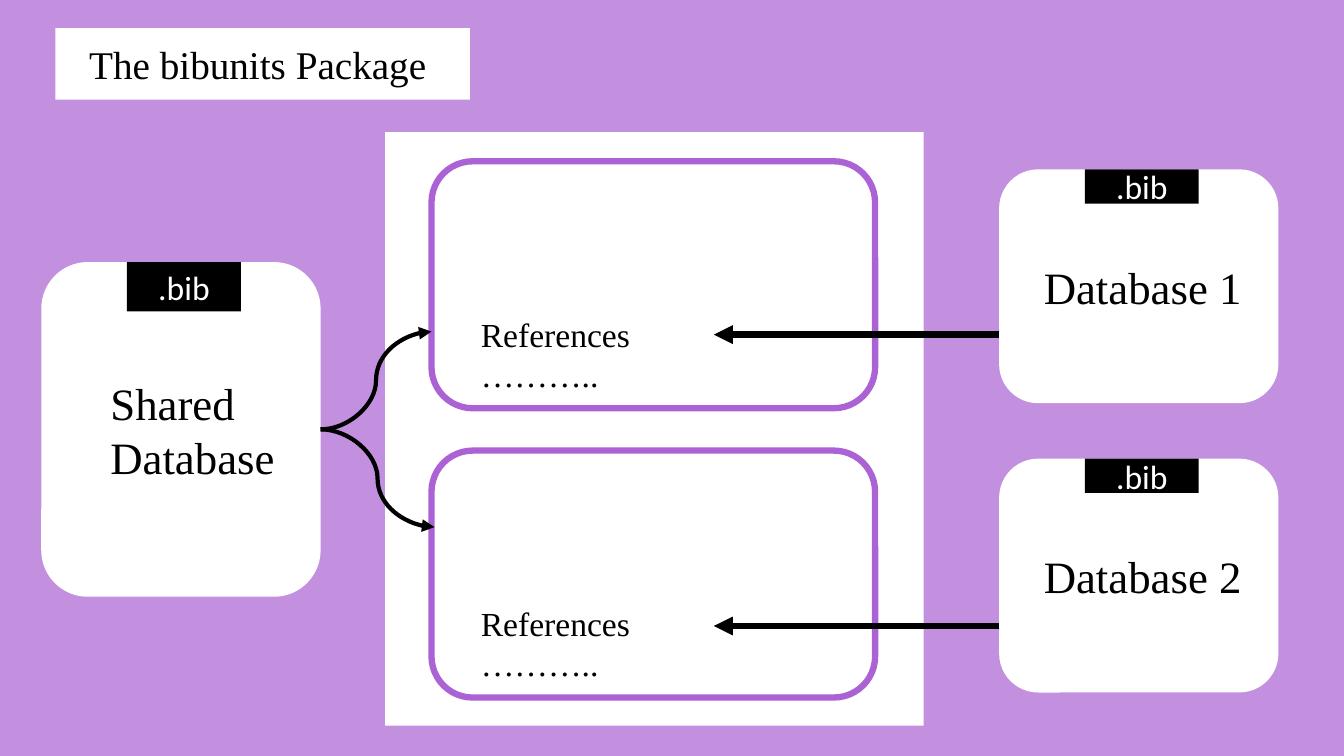
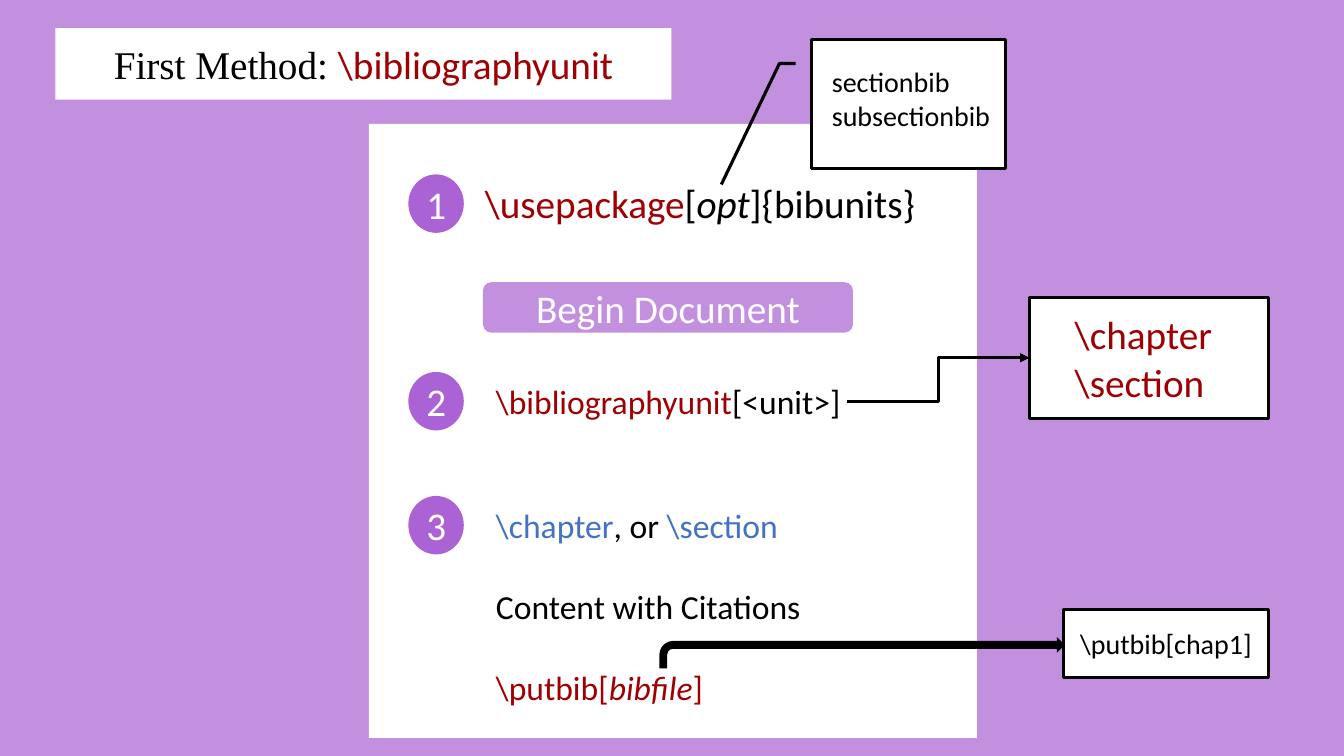
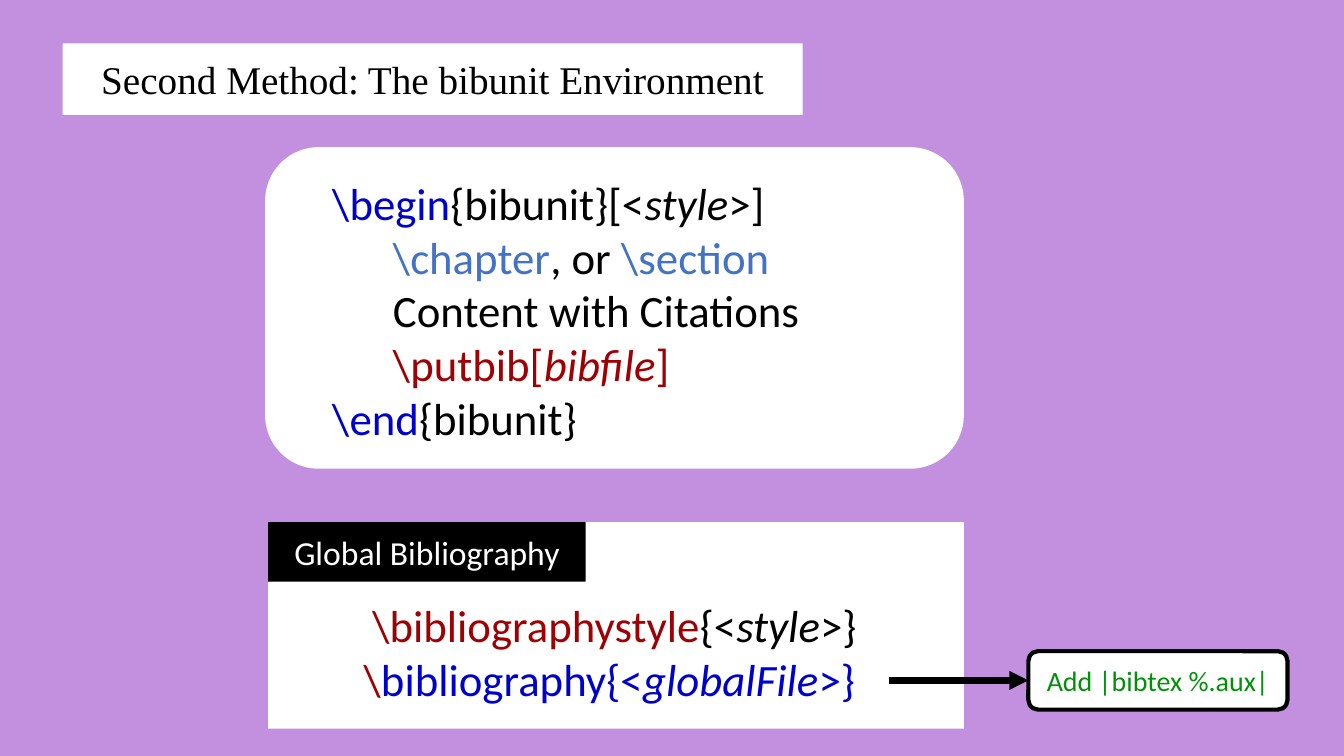
from lxml import etree
from pptx import Presentation
from pptx.dml.color import RGBColor
from pptx.enum import shapes as sh, text as tx
from pptx.oxml import ns
from pptx.util import Inches, Pt

LILAC, PURPLE = "C390E0", "AB62D4"
WHITE, BLACK = "FFFFFF", "000000"
RED, BLUE, NAVY, GREEN = "9F0003", "4472C4", "0000CC", "009109"
SERIF, SANS = "Times New Roman", "Calibri"

RECT = sh.MSO_SHAPE.RECTANGLE
ROUND = sh.MSO_SHAPE.ROUNDED_RECTANGLE
LEFT, CENTER = tx.PP_ALIGN.LEFT, tx.PP_ALIGN.CENTER
TOP, MIDDLE, BOTTOM = tx.MSO_ANCHOR.TOP, tx.MSO_ANCHOR.MIDDLE, tx.MSO_ANCHOR.BOTTOM


def rgb(color):
    return RGBColor.from_string(color)


def write(shape, paragraphs, size=28, font=SANS, color=BLACK, align=CENTER,
          anchor=MIDDLE, insets=(0.1, 0.05, 0.1, 0.05), gap=0):
    """Fill a shape; a paragraph is a list of strings or (text, color, italic) runs."""
    frame = shape.text_frame
    frame.word_wrap = True
    frame.auto_size = tx.MSO_AUTO_SIZE.NONE
    frame.vertical_anchor = anchor
    (frame.margin_left, frame.margin_top,
     frame.margin_right, frame.margin_bottom) = map(Inches, insets)
    for i, runs in enumerate(paragraphs):
        paragraph = frame.add_paragraph() if i else frame.paragraphs[0]
        paragraph.alignment = align
        if i and gap:
            paragraph.space_before = Pt(gap)
        for part in runs:
            words, tint, italic = part if isinstance(part, tuple) else (part, color, False)
            run = paragraph.add_run()
            run.text = words
            run.font.name, run.font.size, run.font.italic = font, Pt(size), italic
            run.font.color.rgb = rgb(tint)


class Deck:
    def __init__(self):
        self.prs = Presentation()
        self.prs.slide_width, self.prs.slide_height = Inches(13.33), Inches(7.5)
        backdrop = self.prs.slide_master.background.fill
        backdrop.solid()
        backdrop.fore_color.rgb = rgb(LILAC)
        self.slide = None

    def new_slide(self, title, left, top, width):
        """Add a slide whose title sits on a rounded white plate."""
        self.slide = self.prs.slides.add_slide(self.prs.slide_layouts[5])
        plate = self.slide.shapes.title
        plate.left, plate.top = Inches(left), Inches(top)
        plate.width, plate.height = Inches(width), Inches(0.71)
        outline = etree.SubElement(plate._element.spPr, ns.qn("a:prstGeom"), prst="roundRect")
        etree.SubElement(outline, ns.qn("a:avLst"))
        plate.fill.solid()
        plate.fill.fore_color.rgb = rgb(WHITE)
        write(plate, [title], font=SERIF)

    def box(self, at, paragraphs=(), kind=RECT, fill=WHITE, line=None, weight=2.25, **fmt):
        shape = self.slide.shapes.add_shape(kind, *map(Inches, at))
        shape.shadow.inherit = False
        shape.fill.solid()
        shape.fill.fore_color.rgb = rgb(fill)
        if line:
            shape.line.color.rgb = rgb(line)
            shape.line.width = Pt(weight)
        else:
            shape.line.fill.background()
        if paragraphs:
            write(shape, paragraphs, **fmt)
        return shape

    def database(self, at, name, tab_height, inset):
        """A white card with a black .bib tab on its top edge."""
        left, top = at[:2]
        card = self.box(at, [[name]], ROUND, size=32, font=SERIF, align=LEFT,
                        insets=(inset, 0.05, 0, 0.05))
        self.box((left + 0.85, top, 1.13, tab_height), [[".bib"]], fill=BLACK,
                 size=24, color=WHITE)
        return card

    def step(self, number, top, paragraphs, left=4.82, width=4.2, height=0.5, size=24, gap=0):
        """A numbered disc with its commands to the right."""
        self.box((4.05, top, 0.55, 0.58), [[str(number)]], sh.MSO_SHAPE.OVAL, PURPLE, color=WHITE)
        commands = self.slide.shapes.add_textbox(
            *map(Inches, (left, top + (28 - size) / 100, width, height)))
        write(commands, paragraphs, size=size, align=LEFT, anchor=TOP, gap=gap)

    def arrow(self, start, end, kind="STRAIGHT", weight=4.5, source=None, target=None):
        link = self.slide.shapes.add_connector(
            sh.MSO_CONNECTOR[kind], *map(Inches, (*start, *end)))
        link.line.color.rgb = rgb(BLACK)
        link.line.width = Pt(weight)
        etree.SubElement(link.line._get_or_add_ln(), ns.qn("a:tailEnd"), type="triangle")
        etree.SubElement(link._element.spPr, ns.qn("a:effectLst"))
        if source is not None:
            link.begin_connect(source, 3)
        if target is not None:
            link.end_connect(target, 1)


def package_slide(deck):
    deck.new_slide(["The bibunits Package "], 0.55, 0.28, 4.11)
    # Document with two units
    deck.box((3.82, 1.31, 5.34, 5.89))
    for top in (1.6, 4.47):
        deck.box((4.28, top, 4.4, 2.45), [["References"], ["……….."]], ROUND, line=PURPLE,
                 weight=4.5, size=24, font=SERIF, align=LEFT, anchor=BOTTOM,
                 insets=(0.37, 0.05, 0.1, 0.02))
    # Database used by both units
    shared = deck.database((0.41, 2.6, 2.77, 3.32), "Shared Database", 0.49, 0.55)
    for end in ((4.28, 3.29), (4.31, 5.23)):
        deck.arrow((3.18, 4.26), end, "CURVE", 3, source=shared)
    # One database per unit
    for number, top, arrow_y in ((1, 1.68, 3.32), (2, 4.55, 6.21)):
        deck.database((9.91, top, 2.77, 2.32), f"Database {number}", 0.34, 0.33)
        deck.arrow((9.91, arrow_y), (7.08, arrow_y))


def first_method_slide(deck):
    deck.new_slide(["First Method: "], 0.55, 0.28, 6.11)
    command = deck.slide.shapes.title.text_frame.paragraphs[0].add_run()
    command.text = "\\bibliographyunit"
    command.font.name, command.font.size = SANS, Pt(28)
    command.font.color.rgb = rgb(RED)
    # Steps in the document
    deck.box((3.66, 1.23, 6.03, 6.09))
    deck.step(1, 1.73, [[("\\usepackage", RED, False), "[", ("opt", BLACK, True), "]{bibunits}"]],
              left=4.71, width=5.37, size=28)
    deck.box((4.79, 2.8, 3.67, 0.5), [["Begin Document"]], ROUND, LILAC, color=WHITE)
    deck.step(2, 3.69, [[("\\bibliographyunit", RED, False), "[<unit>]"]])
    deck.step(3, 4.92, [
        [("\\chapter", BLUE, False), ", or ", ("\\section", BLUE, False)],
        ["Content with Citations"],
        [("\\putbib[", RED, False), ("bibfile", RED, True), ("]", RED, False)],
    ], height=2.12, gap=29)
    # Side notes
    deck.box((8.05, 0.39, 1.92, 1.28), [["sectionbib"], ["subsectionbib"]],
             sh.MSO_SHAPE.LINE_CALLOUT_2, line=BLACK, size=20, align=LEFT, anchor=TOP,
             insets=(0.2, 0.25, 0, 0.05))
    units = deck.box((10.21, 2.95, 2.37, 1.2), [["\\chapter"], ["\\section"]], line=BLACK,
                     color=RED, align=LEFT, insets=(0.45, 0.05, 0.1, 0.05))
    deck.arrow((8.4, 3.98), (10.21, 3.55), "ELBOW", 2.25, target=units)
    deck.box((6.54, 6.32, 4.02, 0.31), kind=sh.MSO_SHAPE.BENT_ARROW, fill=BLACK)
    deck.box((10.55, 6.05, 2.03, 0.67), [["\\putbib[chap1]"]], line=BLACK, size=20)


def second_method_slide(deck):
    deck.new_slide(["Second Method: The bibunit Environment"], 0.62, 0.43, 7.34)
    # Environment code
    indent = " " * 6
    deck.box((2.63, 1.46, 6.93, 3.19), [
        [("\\begin", NAVY, False), "{bibunit}[<", ("style", BLACK, True), ">]"],
        [(indent + "\\chapter", BLUE, False), ", or ", ("\\section", BLUE, False)],
        [indent + "Content with Citations"],
        [(indent + "\\putbib[", RED, False), ("bibfile", RED, True), ("]", RED, False)],
        [("\\end", NAVY, False), "{bibunit}"],
    ], ROUND, size=32, align=LEFT, insets=(0.51, 0.04, 0, 0))
    # Global bibliography
    deck.box((2.66, 5.18, 6.9, 2.05), [
        [("\\bibliographystyle", RED, False), "{<", ("style", BLACK, True), ">}"],
        [("\\", RED, False), ("bibliography{<", NAVY, False), ("globalFile", NAVY, True),
         (">} ", NAVY, False)],
    ], size=32, anchor=TOP, insets=(0.1, 0.75, 0.13, 0))
    deck.box((2.66, 5.18, 3.15, 0.59), [["Global Bibliography"]], fill=BLACK, size=24, color=WHITE)
    build_rule = deck.box((10.2, 6.46, 2.57, 0.58), [["Add |bibtex %.aux|"]], ROUND, line=BLACK,
                          weight=3, size=20, color=GREEN)
    deck.arrow((8.82, 6.75), (10.2, 6.75), target=build_rule)


def main():
    deck = Deck()
    package_slide(deck)
    first_method_slide(deck)
    second_method_slide(deck)
    deck.prs.save("out.pptx")


if __name__ == "__main__":
    main()
